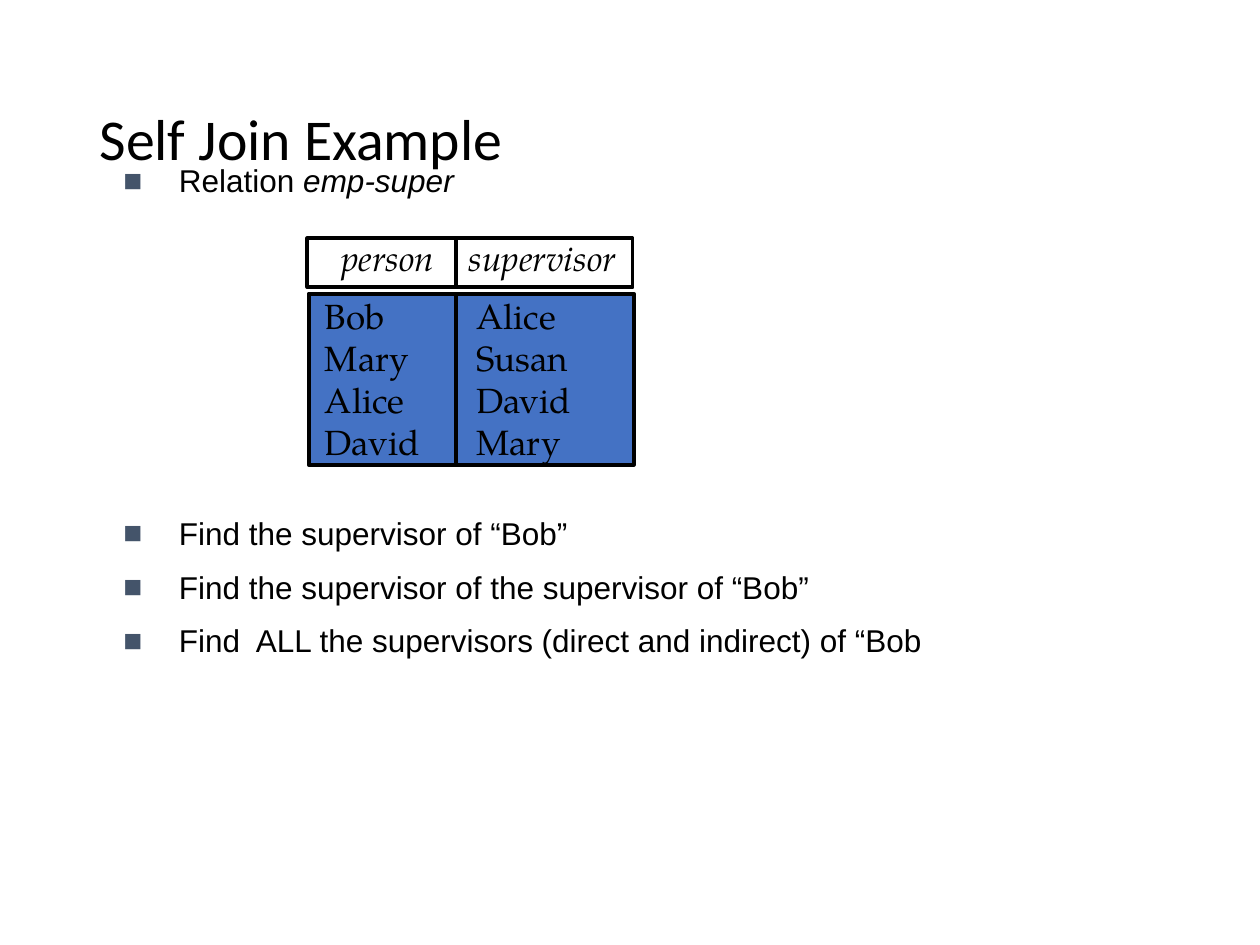
"""Build the Self Join Example slide."""
import pptx
import pptx.dml.color
import pptx.enum.shapes
import pptx.enum.text
import pptx.oxml
import pptx.oxml.ns
import pptx.util
from lxml import etree


def paint(part, shade):
    part.rgb = pptx.dml.color.RGBColor.from_string(shade)


def write(shape, text, face="Arial", size=18, shade="000000", slant=False,
          gap=0, pitch=1.0, bullet=None, stop=None, anchor="TOP"):
    frame = shape.text_frame
    frame.word_wrap = True
    frame.auto_size = pptx.enum.text.MSO_AUTO_SIZE.NONE
    frame.vertical_anchor = getattr(pptx.enum.text.MSO_ANCHOR, anchor)
    for i, line in enumerate(text.split("\n")):
        para = frame.add_paragraph() if i else frame.paragraphs[0]
        props = para._p.get_or_add_pPr()
        marks = ""
        if bullet:
            props.set("marL", str(pptx.util.Inches(0.44)))
            props.set("indent", str(pptx.util.Inches(-0.44)))
            marks += (f'<a:buClr><a:srgbClr val="{bullet}"/></a:buClr>'
                      '<a:buFont typeface="Arial"/><a:buChar char="■"/>')
        if stop:
            marks += f'<a:tabLst><a:tab pos="{pptx.util.Inches(stop)}" algn="l"/></a:tabLst>'
        for mark in pptx.oxml.parse_xml(f'<a:pPr {pptx.oxml.ns.nsdecls("a")}>{marks}</a:pPr>'):
            props.append(mark)
        para.alignment = pptx.enum.text.PP_ALIGN.LEFT
        para.line_spacing = pitch
        para.space_before = pptx.util.Pt(gap if i else 0)
        for j, piece in enumerate(line.split("_")):
            run = para.add_run()
            run.text = piece
            run.font.name = face
            run.font.size = pptx.util.Pt(size)
            run.font.italic = slant or j % 2 == 1
            paint(run.font.color, shade)


deck = pptx.Presentation()
deck.slide_width, deck.slide_height = pptx.util.Inches(10), pptx.util.Inches(7.5)
col, row = deck.slide_width // 100, deck.slide_height // 100
shares = {
    "title": (6.9, 5.33, 86.3, 19.33),
    "intro": (8.8, 16.4, 76.9, 7.07),
    "tasks": (8.8, 53.73, 90.7, 16.27),
    "head": (24.4, 25.2, 25.8, 5.2),
    "rows": (24.5, 31.07, 25.8, 18.13),
    "names": (26.1, 24.4, 25, 5.87),
    "cells": (24.8, 30.53, 25.5, 19.2),
}
spots = {name: [int(n * unit) for n, unit in zip(box, (col, row, col, row))]
         for name, box in shares.items()}

slide = deck.slides.add_slide(deck.slide_layouts[3])
title, intro, tasks = slide.placeholders
for item, name in ((title, "title"), (intro, "intro"), (tasks, "tasks")):
    item.left, item.top, item.width, item.height = spots[name]
write(title, "Self Join Example", face="Calibri", size=33, pitch=0.9, anchor="MIDDLE")
write(intro, "Relation _emp-super", bullet="44546A")
write(tasks, "Find the supervisor of “Bob”\n"
      "Find the supervisor of the supervisor of “Bob”\n"
      "Find  ALL the supervisors (direct and indirect) of “Bob", gap=9, bullet="44546A")

table = slide.shapes.add_group_shape().shapes
for name, shade in (("head", "FFFFFF"), ("rows", "4472C4")):
    rect = table.add_shape(pptx.enum.shapes.MSO_SHAPE.RECTANGLE, *spots[name])
    rect.shadow.inherit = False
    rect.fill.solid()
    paint(rect.fill.fore_color, shade)
    rule = table.add_connector(pptx.enum.shapes.MSO_CONNECTOR.STRAIGHT,
                               int(36.2 * col), rect.top,
                               int(36.2 * col), rect.top + rect.height)
    etree.SubElement(rule._element.spPr, pptx.oxml.ns.qn("a:effectLst"))
    for edge in (rect.line, rule.line):
        edge.width = pptx.util.Pt(2.25)
        edge.fill.solid()
        paint(edge.fill.fore_color, "000000")

write(table.add_textbox(*spots["names"]), "person\tsupervisor",
      face="TeX Gyre Pagella", size=20, slant=True, stop=1.01)
write(table.add_textbox(*spots["cells"]), "Bob\tAlice\nMary\tSusan\nAlice\tDavid\nDavid\tMary",
      face="TeX Gyre Pagella", size=20, stop=1.2)

deck.save("out.pptx")
